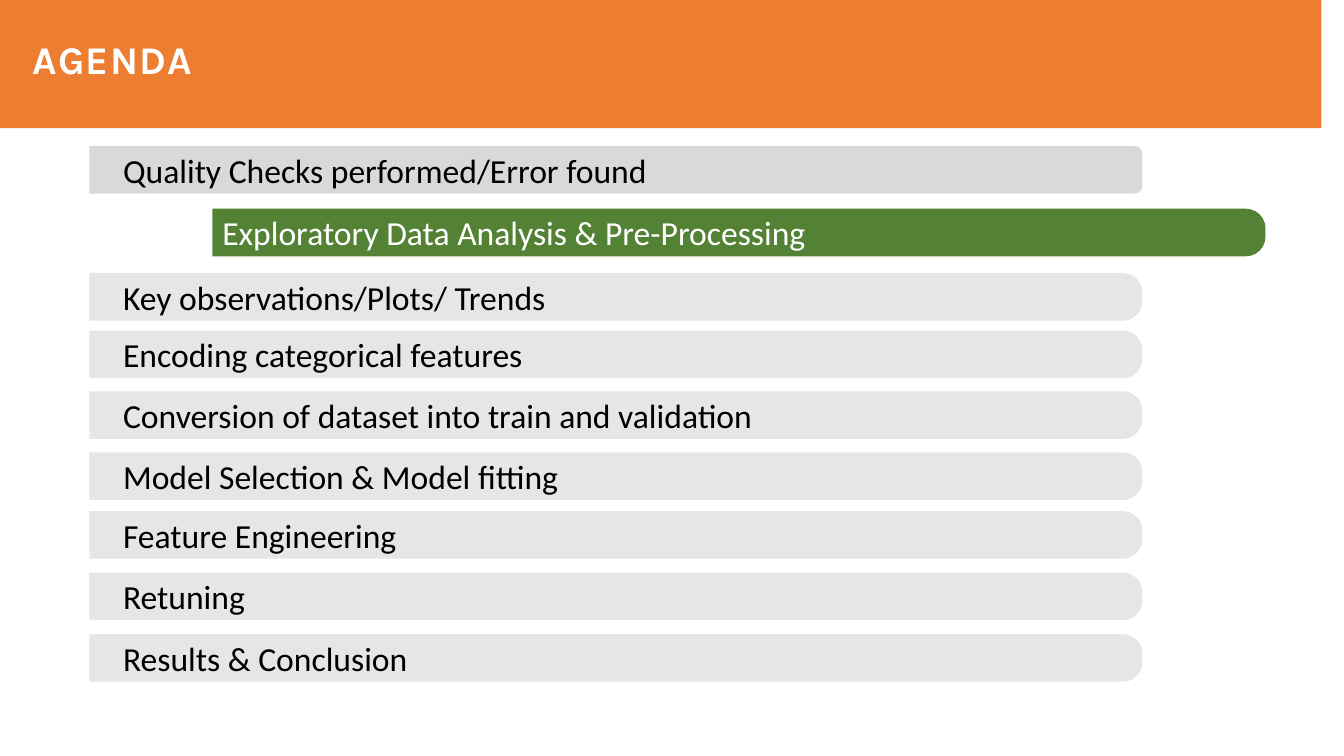
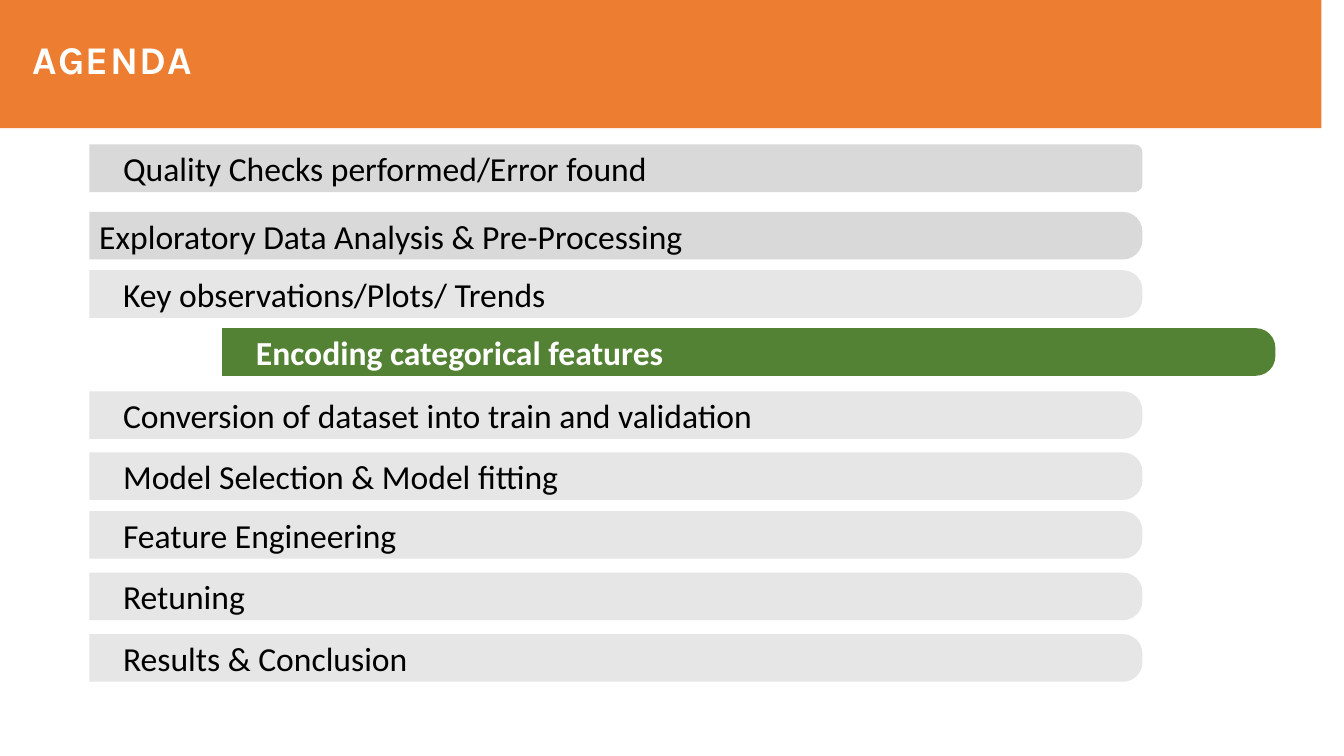
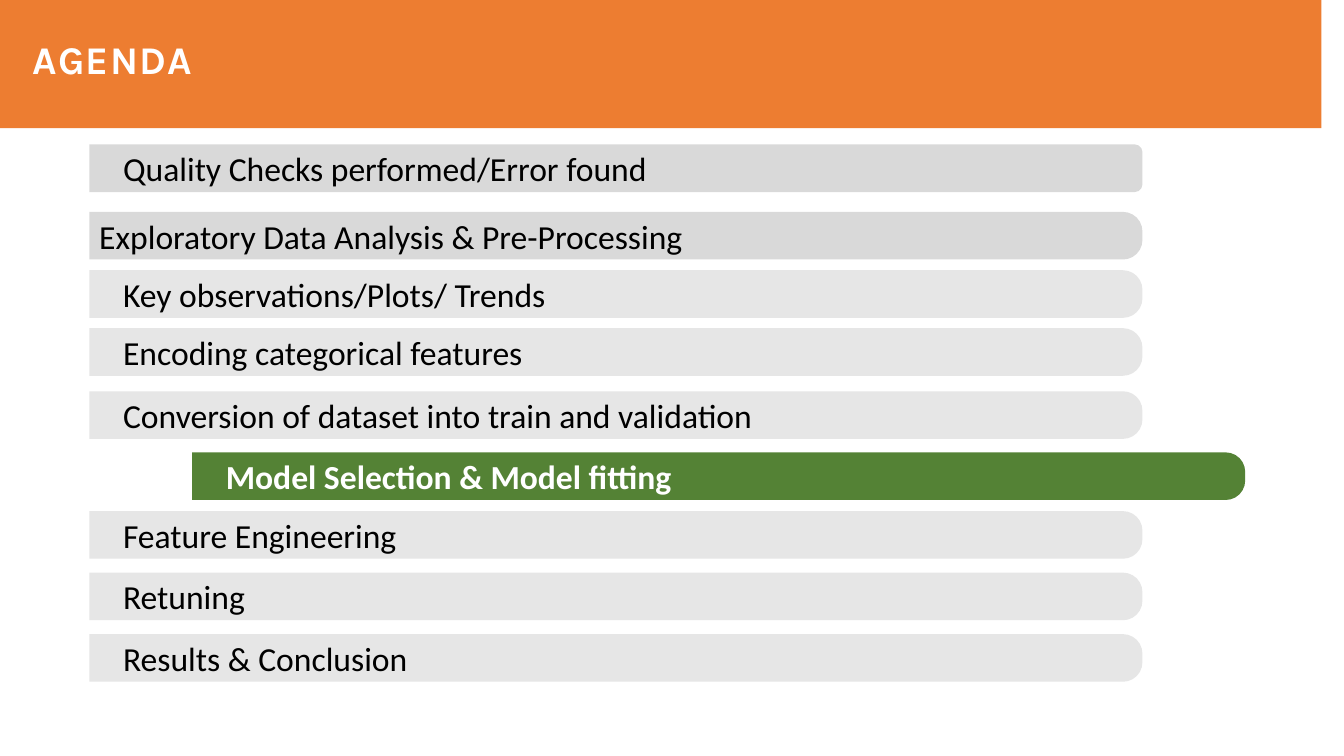
from dataclasses import dataclass

from pptx import Presentation
from pptx.dml.color import RGBColor
from pptx.enum.shapes import MSO_SHAPE
from pptx.enum.text import MSO_ANCHOR, MSO_AUTO_SIZE, PP_ALIGN
from pptx.util import Cm, Pt

TITLE_ONLY = 5
ORANGE, GREEN, WHITE, BLACK = "ED7D31", "548235", "FFFFFF", "000000"
MID_GREY, LIGHT_GREY = "D9D9D9", "E6E6E6"


@dataclass
class AgendaItem:
    text: str
    top: float
    fill: str = LIGHT_GREY
    indent: float = 0.6
    rounding: float = 0.41


AGENDA = [
    AgendaItem("Quality Checks performed/Error found", 3.64, MID_GREY, rounding=0.16),
    AgendaItem("Exploratory Data Analysis & Pre-Processing", 5.34, MID_GREY, indent=0),
    AgendaItem("Key observations/Plots/ Trends", 6.81),
    AgendaItem("Encoding categorical features", 8.27),
    AgendaItem("Conversion of dataset into train and validation", 9.86),
    AgendaItem("Model Selection & Model fitting", 11.4),
    AgendaItem("Feature Engineering", 12.88),
    AgendaItem("Retuning", 14.43),
    AgendaItem("Results & Conclusion", 15.98),
]


@dataclass
class AgendaSlide:
    """One agenda view: the active row, its shift to the right, and rows with another top."""
    active: int
    shift: float
    bold: bool
    tops: dict


SLIDES = [
    AgendaSlide(1, 3.1, False, {0: 3.68, 1: 5.26, 2: 6.88, 3: 8.33}),
    AgendaSlide(3, 3.35, True, {}),
    AgendaSlide(5, 2.59, True, {}),
]


def color(hex_string):
    return RGBColor.from_string(hex_string)


class Deck:
    bar_left, bar_width, bar_height = 2.25, 26.54, 1.2

    def __init__(self):
        self.presentation = Presentation()
        self.presentation.slide_width = Cm(33.87)
        self.presentation.slide_height = Cm(19.05)
        self.slide = None

    def add_slide(self, title):
        layout = self.presentation.slide_layouts[TITLE_ONLY]
        self.slide = self.presentation.slides.add_slide(layout)
        self.add_title(title)
        self.add_band()

    def add_shape(self, kind, left, top, width, height, fill):
        shape = self.slide.shapes.add_shape(kind, Cm(left), Cm(top), Cm(width), Cm(height))
        shape.shadow.inherit = False
        shape.fill.solid()
        shape.fill.fore_color.rgb = color(fill)
        shape.line.fill.background()
        return shape

    def format_paragraph(self, paragraph, font, size, text_color, bold):
        paragraph.alignment = PP_ALIGN.LEFT
        paragraph.font.name = font
        paragraph.font.size = Pt(size)
        paragraph.font.bold = bold
        paragraph.font.color.rgb = color(text_color)

    def add_title(self, text):
        title = self.slide.shapes.title
        title.left, title.top, title.width, title.height = Cm(0.56), Cm(0.89), Cm(31.32), Cm(1.02)
        frame = title.text_frame
        frame.text = text
        frame.auto_size = MSO_AUTO_SIZE.NONE
        frame.vertical_anchor = MSO_ANCHOR.TOP
        paragraph = frame.paragraphs[0]
        paragraph.line_spacing = 0.9
        self.format_paragraph(paragraph, "Karla", 28, WHITE, True)
        paragraph.runs[0].font._element.set("spc", "100")

    def add_band(self):
        """Draw the header band behind the title."""
        band = self.add_shape(MSO_SHAPE.RECTANGLE, 0, 0, 33.3, 3.23, ORANGE)
        self.slide.shapes.element.insert(2, band.element)

    def add_bar(self, item, top, shift, fill, text_color, bold):
        """Draw a bar with round right corners: an upright shape turned by 90 degrees."""
        turn = (self.bar_width - self.bar_height) / 2
        bar = self.add_shape(MSO_SHAPE.ROUND_2_SAME_RECTANGLE,
                             self.bar_left + shift + turn, top - turn,
                             self.bar_height, self.bar_width, fill)
        bar.rotation = 90
        bar.adjustments[0] = item.rounding
        bar.adjustments[1] = 0
        frame = bar.text_frame
        frame.text = item.text
        frame.word_wrap = True
        frame.vertical_anchor = MSO_ANCHOR.MIDDLE
        frame._txBody.bodyPr.set("vert", "vert270")
        paragraph = frame.paragraphs[0]
        self.format_paragraph(paragraph, "Calibri", 24, text_color, bold)
        paragraph._p.get_or_add_pPr().set("marL", str(Cm(item.indent)))

    def add_agenda(self, view):
        self.add_slide("AGENDA")
        for row, item in enumerate(AGENDA):
            top = view.tops.get(row, item.top)
            if row == view.active:
                self.add_bar(item, top, view.shift, GREEN, WHITE, view.bold)
            else:
                self.add_bar(item, top, 0, item.fill, BLACK, False)


def main():
    deck = Deck()
    for view in SLIDES:
        deck.add_agenda(view)
    deck.presentation.save("out.pptx")


if __name__ == "__main__":
    main()
